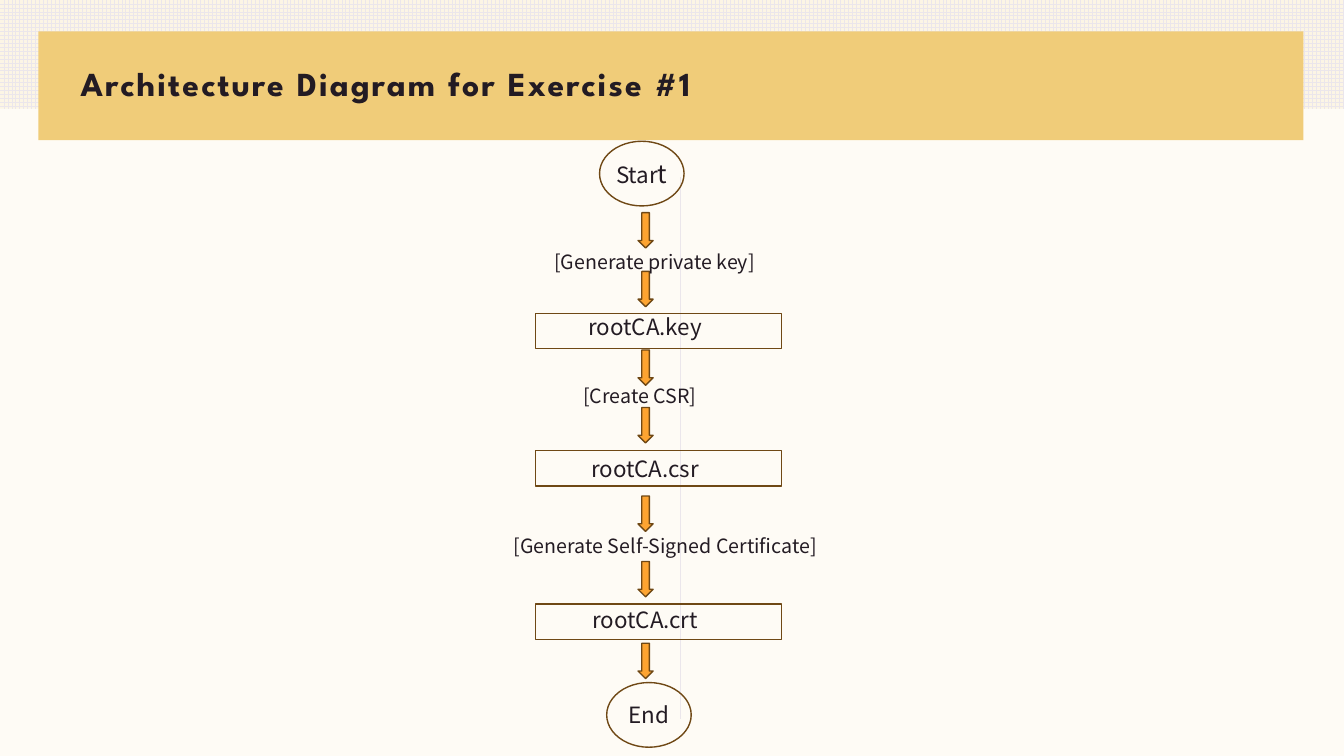
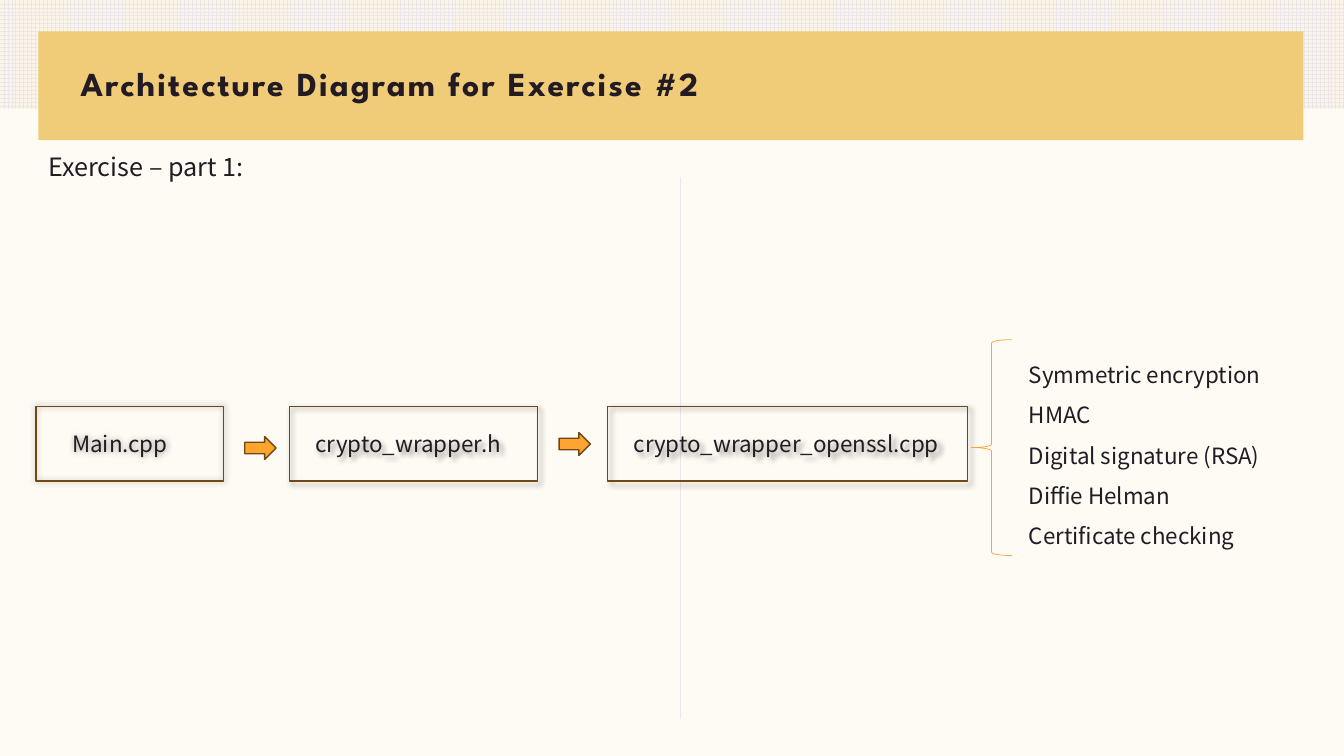
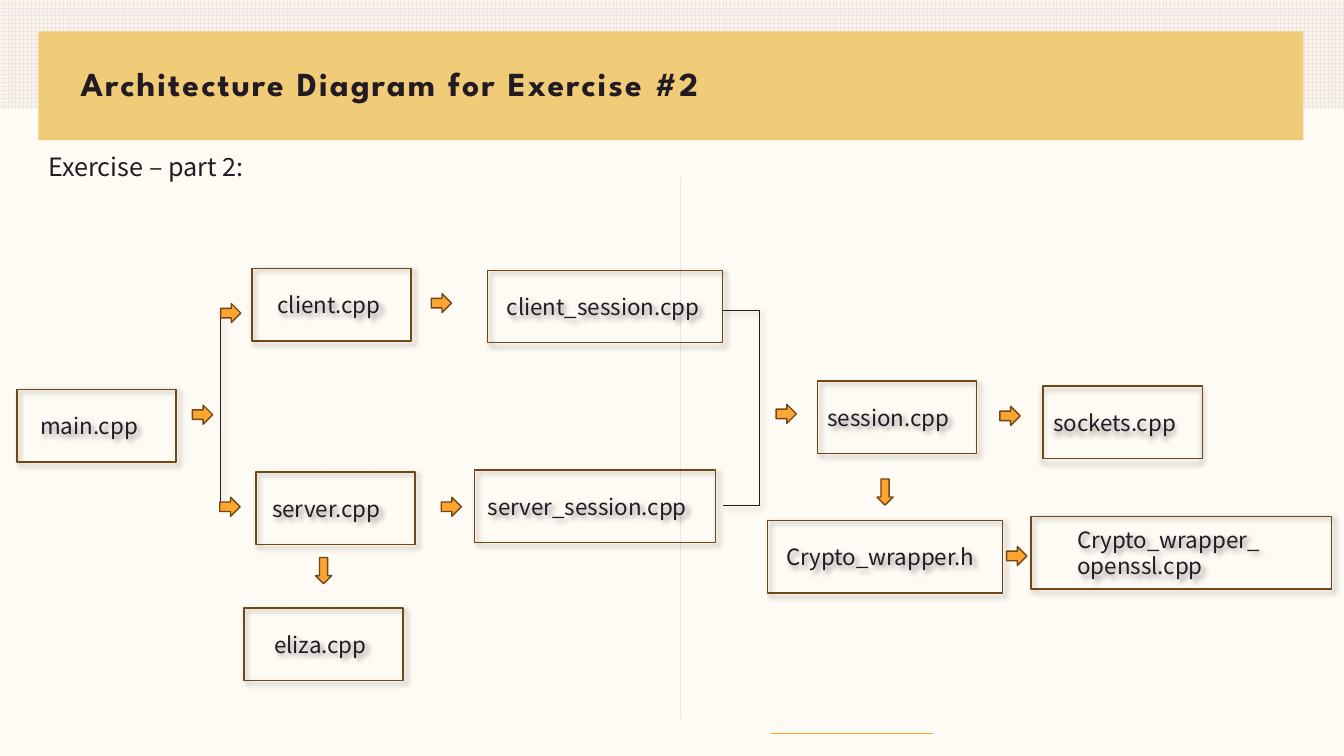
from dataclasses import dataclass

from lxml.etree import SubElement
from pptx import Presentation
from pptx.dml.color import RGBColor
from pptx.enum.dml import MSO_PATTERN
from pptx.enum.shapes import MSO_CONNECTOR, MSO_SHAPE
from pptx.enum.text import MSO_ANCHOR, MSO_AUTO_SIZE, PP_ALIGN
from pptx.oxml.ns import qn
from pptx.util import Cm, Pt


@dataclass(frozen=True)
class Theme:
    """Colours, fonts, type sizes and line widths of the deck."""
    page: str = "FEFBF5"
    cream: str = "FCF5E5"
    lilac: str = "EBE6EB"
    gold: str = "F0CC79"
    ink: str = "231B23"
    orange: str = "FDA431"
    brown: str = "6F4815"
    title_font: str = "League Spartan"
    body_font: str = "Noto Sans CJK JP"
    title_size: int = 24
    heading_size: int = 18
    node_size: int = 16
    step_size: int = 14
    outline: float = 1
    hairline: float = 0.5


@dataclass(frozen=True)
class Region:
    """An area of the slide, in centimetres."""
    left: float
    top: float
    width: float
    height: float

    def point(self, x, y):
        """Return a point of the region as slide lengths."""
        return Cm(self.left + x), Cm(self.top + y)

    def area(self, x, y, width, height):
        """Return a part of the region as slide lengths."""
        return (*self.point(x, y), Cm(width), Cm(height))


THEME = Theme()
PAGE = Region(0, 0, 33.87, 19.05)
HEADING = Region(0.97, 3.7, 9.6, 1.02)
DROP = (4, 3, 45)
NO_INSETS = (0, 0, 0, 0)


def colour(code):
    """Turn a hex code into a colour."""
    return RGBColor.from_string(code)


def apply(target, formats):
    """Set each attribute named in the formats."""
    for key, value in formats.items():
        setattr(target, key, value)


def cast_shadow(shape, shadow=None):
    """Replace the theme's shadow by a given blur, distance and angle, or by none."""
    effects = shape.element.spPr.get_or_add_effectLst()
    if shadow:
        blur, distance, angle = shadow
        outer = SubElement(effects, qn("a:outerShdw"), blurRad=str(Pt(blur)),
                           dist=str(Pt(distance)), dir=str(angle * 60000),
                           algn="tl", rotWithShape="0")
        black = SubElement(outer, qn("a:srgbClr"), val="000000")
        SubElement(black, qn("a:alpha"), val="40000")


def draw(slide, preset, area, fill=None, line=None, width=THEME.outline, shadow=None):
    """Add a preset shape with its fill, outline and shadow."""
    shape = slide.shapes.add_shape(preset, *area)
    if fill:
        shape.fill.solid()
        shape.fill.fore_color.rgb = colour(fill)
    else:
        shape.fill.background()
    if line:
        shape.line.color.rgb = colour(line)
        shape.line.width = Pt(width)
    else:
        shape.line.fill.background()
    cast_shadow(shape, shadow)
    return shape


def rule(slide, region, start, end, ink=THEME.ink, shadow=None):
    """Draw a hairline between two points of a region."""
    line = slide.shapes.add_connector(
        MSO_CONNECTOR.STRAIGHT, *region.point(*start), *region.point(*end))
    line.line.color.rgb = colour(ink)
    line.line.width = Pt(THEME.hairline)
    cast_shadow(line, shadow)
    return line


def write(frame, paragraphs, size, insets=None, anchor=MSO_ANCHOR.TOP,
          font=THEME.body_font, bold=False, **layout):
    """Write paragraphs; a paragraph is a string or a list of (text, size) runs."""
    apply(frame, {"word_wrap": True, "auto_size": MSO_AUTO_SIZE.NONE,
                  "vertical_anchor": anchor})
    if insets is not None:
        sides = ("margin_left", "margin_top", "margin_right", "margin_bottom")
        apply(frame, dict(zip(sides, map(Cm, insets))))
    for index, content in enumerate(paragraphs):
        paragraph = frame.add_paragraph() if index else frame.paragraphs[0]
        apply(paragraph, {"alignment": PP_ALIGN.LEFT, **layout})
        runs = [(content, size)] if isinstance(content, str) else content
        for text, run_size in runs:
            run = paragraph.add_run()
            run.text = text
            apply(run.font, {"name": font, "size": Pt(run_size), "bold": bold})
            run.font.color.rgb = colour(THEME.ink)


def caption(slide, area, paragraphs, size, **layout):
    """Add free-standing text."""
    write(slide.shapes.add_textbox(*area).text_frame, paragraphs, size, **layout)


def node(slide, area, paragraphs, insets, preset=MSO_SHAPE.RECTANGLE, shadow=None, **layout):
    """Add an outlined shape with a label."""
    shape = draw(slide, preset, area, line=THEME.brown, shadow=shadow)
    write(shape.text_frame, paragraphs, THEME.node_size, insets, MSO_ANCHOR.MIDDLE, **layout)


def arrow(slide, preset, area):
    """Add an orange block arrow."""
    draw(slide, preset, area, THEME.orange, THEME.brown)


def dress_layout(prs, layout):
    """Put the background, bands and centre rule on the shared layout."""
    background = prs.slide_master.background.fill
    background.solid()
    background.fore_color.rgb = colour(THEME.page)
    slide = prs.slides[0]
    grid_band = draw(slide, MSO_SHAPE.RECTANGLE, PAGE.area(0, 0, PAGE.width, 2.74))
    grid_band.fill.patterned()
    grid_band.fill.pattern = MSO_PATTERN.LARGE_GRID
    grid_band.fill.fore_color.rgb = colour(THEME.lilac)
    grid_band.fill.back_color.rgb = colour(THEME.cream)
    title_band = draw(slide, MSO_SHAPE.RECTANGLE, PAGE.area(0.97, 0.79, 31.88, 2.74), THEME.gold)
    centre_rule = rule(slide, PAGE, (17.15, 4.47), (17.15, 18.11), THEME.lilac)
    for position, part in enumerate((grid_band, title_band, centre_rule), 2):
        layout.shapes.element.insert(position, part.element)


def set_title(slide, text):
    """Place and format the slide title."""
    title = slide.shapes.title
    apply(title, dict(zip(("left", "top", "width", "height"),
                          PAGE.area(1.78, 1.35, 30.3, 1.63))))
    write(title.text_frame, [text], THEME.title_size, anchor=MSO_ANCHOR.MIDDLE,
          font=THEME.title_font, bold=True, line_spacing=0.9)
    for properties in title.element.iter(qn("a:rPr")):
        properties.set("spc", "150")


def set_heading(slide, text):
    """Write the heading under the title band."""
    caption(slide, HEADING.area(0, 0, HEADING.width, HEADING.height), [text], THEME.heading_size)


def certificate_flow(slide, region):
    """Draw the vertical flow from private key to certificate."""
    for top in (1.8, 3.28, 5.26, 6.71, 8.94, 10.59, 12.65):
        arrow(slide, MSO_SHAPE.DOWN_ARROW, region.area(3.38, top, 0.38, 0.89))
    ends = ((2.41, 0, [("Star", THEME.node_size), ("t", THEME.heading_size)]),
            (2.59, 13.64, "End"))
    for x, y, label in ends:
        node(slide, region.area(x, y, 2.13, 1.63), [label], NO_INSETS, MSO_SHAPE.OVAL,
             alignment=PP_ALIGN.CENTER)
    files = (("rootCA.key", 4.34, 0.25), ("rootCA.csr", 7.8, 0), ("rootCA.crt", 11.66, 0.1))
    for name, top, lift in files:
        node(slide, region.area(0.79, top, 6.2, 0.89), [name], (0, 0, 0.66, lift),
             alignment=PP_ALIGN.CENTER)
    steps = (("[Generate private key]", 1.02, 2.62), ("[Create CSR]", 1.75, 5.99),
             ("[Generate Self-Signed Certificate]", 0, 9.78))
    for step, x, y in steps:
        caption(slide, region.area(x, y, region.width - x, 0.86), [step], THEME.step_size)


def wrapper_chain(slide, region):
    """Draw the chain of wrapper files and the list of their functions."""
    files = (("Main.cpp", 0, 4.72, 0.91, (5, 0, 0)),
             ("crypto_wrapper.h", 6.38, 6.25, 0.66, DROP),
             ("crypto_wrapper_openssl.cpp", 14.4, 9.07, 0.66, DROP))
    for name, x, width, inset, shadow in files:
        node(slide, region.area(x, 1.68, width, 1.88), [name], (inset, 0, 0, 0), shadow=shadow)
    for x, y in ((5.26, 2.44), (13.18, 2.34)):
        arrow(slide, MSO_SHAPE.RIGHT_ARROW, region.area(x, y, 0.79, 0.58))
    draw(slide, MSO_SHAPE.LEFT_BRACE, region.area(23.57, 0, 1.02, region.height),
         line=THEME.orange, width=THEME.hairline)
    functions = ["Symmetric encryption", "HMAC", "Digital signature (RSA)",
                 "Diffie Helman", "Certificate checking"]
    caption(slide, region.area(24.77, 0.08, 7.9, 5.23), functions, THEME.node_size,
            line_spacing=1.5)


def session_map(slide, region):
    """Draw the map of client, server and session files."""
    files = (
        ("main.cpp", 0, 3.05, 4.01, 0.58),
        ("client.cpp", 5.92, 0, 4.01, 0.64),
        ("server.cpp", 6.02, 5.13, 4.01, 0.41),
        ("eliza.cpp", 5.72, 8.56, 4.01, 0.76),
        ("client_session.cpp", 11.86, 0.05, 5.92, 0.48),
        ("server_session.cpp", 11.53, 5.08, 6.07, 0.33),
        ("session.cpp", 20.17, 2.84, 4.01, 0.25),
        ("sockets.cpp", 25.86, 2.97, 4.01, 0.25),
        ("Crypto_wrapper.h", 18.92, 6.35, 5.92, 0.46),
        ("Crypto_wrapper_\nopenssl.cpp", 25.55, 6.25, 7.57, 1.17),
    )
    for name, x, y, width, inset in files:
        shadow = (4, 3, 90) if name == "sockets.cpp" else DROP
        node(slide, region.area(x, y, width, 1.83), name.split("\n"), (inset, 0, 0, 0),
             shadow=shadow)
    brackets = (((5.13, 1.12), (5.13, 6.05)), ((18.72, 1.07), (18.72, 5.97)),
                ((17.78, 1.07), (18.72, 1.07)), ((17.78, 5.97), (18.72, 5.97)))
    for start, end in brackets:
        rule(slide, region, start, end, shadow=DROP)
    rule(slide, region, (19, 11.71), (23.09, 11.71), THEME.orange)
    for x, y in ((4.42, 3.45), (5.11, 5.77), (5.13, 0.89), (10.69, 5.77), (10.44, 0.64),
                 (19.13, 3.43), (24.77, 3.48), (24.94, 7.01)):
        arrow(slide, MSO_SHAPE.RIGHT_ARROW, region.area(x, y, 0.51, 0.48))
    for x, y in ((7.52, 7.29), (21.67, 5.31)):
        arrow(slide, MSO_SHAPE.DOWN_ARROW, region.area(x, y, 0.41, 0.66))


def main():
    """Build the three slides and save them."""
    prs = Presentation()
    apply(prs, {"slide_width": Cm(PAGE.width), "slide_height": Cm(PAGE.height)})
    layout = prs.slide_layouts[5]
    pages = (
        ("#1", None, certificate_flow, Region(12.7, 3.56, 9.53, 15.27)),
        ("#2", "Exercise – part 1:", wrapper_chain, Region(0.91, 8.56, 32.67, 5.44)),
        ("#2", "Exercise – part 2:", session_map, Region(0.43, 6.76, 33.12, 11.71)),
    )
    slides = [prs.slides.add_slide(layout) for _ in pages]
    dress_layout(prs, layout)
    for slide, (number, heading, diagram, region) in zip(slides, pages):
        set_title(slide, f"Architecture Diagram for Exercise {number}")
        if heading:
            set_heading(slide, heading)
        diagram(slide, region)
    prs.save("out.pptx")


if __name__ == "__main__":
    main()
